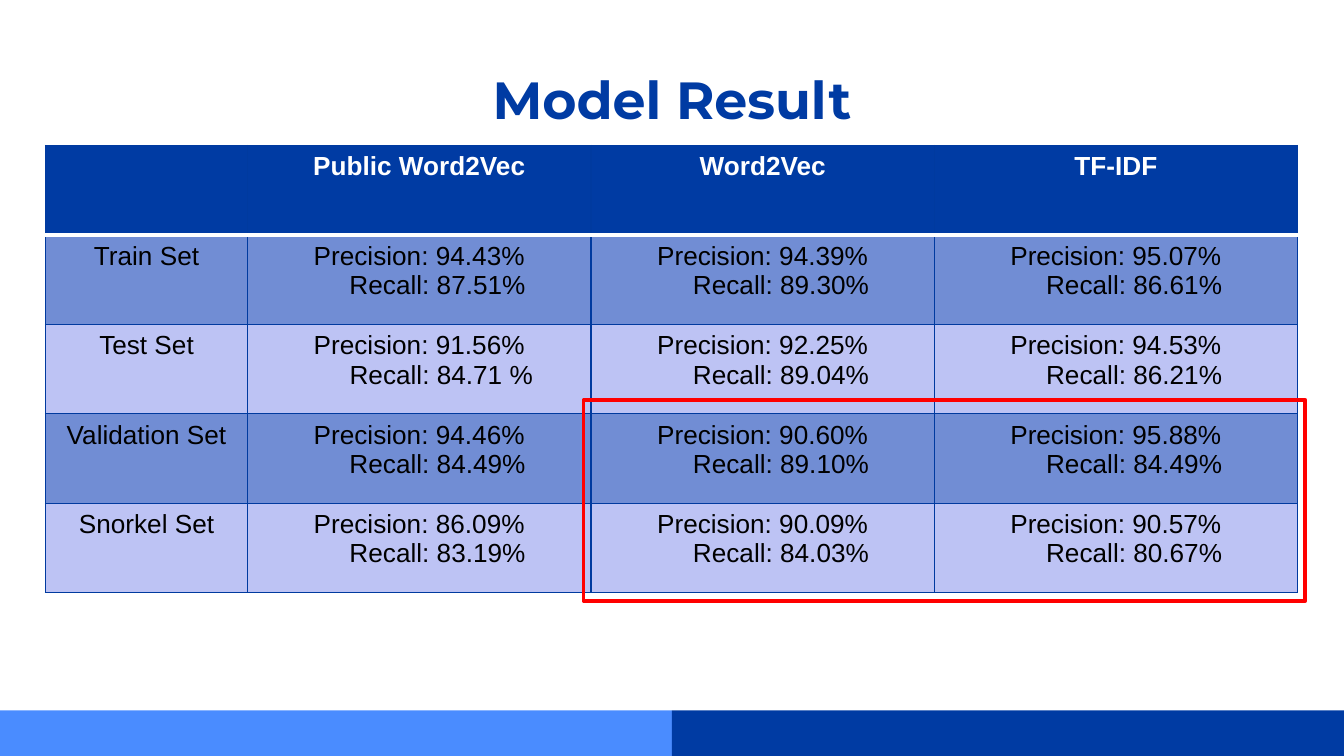
from lxml import etree
from pptx import Presentation
from pptx import util as u
from pptx.dml.color import RGBColor
from pptx.enum import shapes, text
from pptx.oxml import ns

Cm = u.Cm
COLORS = {
    "navy": "003BA3",
    "border": "003A9F",
    "blue": "4A8CFF",
    "dark_band": "718DD4",
    "light_band": "BDC3F4",
    "red": "FF0000",
    "white": "FFFFFF",
    "black": "000000",
}
PAGE_WIDTH, PAGE_HEIGHT = 25.4, 14.29
COLUMN_WIDTHS = [3.82, 6.49, 6.49, 6.86]
ROW_HEIGHT = 1.69
RECALL_INDENT = 0.69

HEADERS = ["", "Public Word2Vec", "Word2Vec", "TF-IDF"]
# Each result is a (precision, recall) pair
RESULTS = [
    ("Train Set", [("94.43%", "87.51%"), ("94.39%", "89.30%"), ("95.07%", "86.61%")]),
    ("Test Set", [("91.56%", "84.71 %"), ("92.25%", "89.04%"), ("94.53%", "86.21%")]),
    ("Validation Set", [("94.46%", "84.49%"), ("90.60%", "89.10%"), ("95.88%", "84.49%")]),
    ("Snorkel Set", [("86.09%", "83.19%"), ("90.09%", "84.03%"), ("90.57%", "80.67%")]),
]


def rgb(name):
    return RGBColor.from_string(COLORS[name])


def write(para, content, font="Arial", size=14, color="black", bold=False, indent=0):
    """Fill a centred paragraph with one formatted span."""
    para.alignment = text.PP_ALIGN.CENTER
    if indent:
        para._p.get_or_add_pPr().set("marL", str(Cm(indent)))
    span = para.add_run()
    span.text = content
    span.font.name = font
    span.font.size = u.Pt(size)
    span.font.bold = bold
    span.font.color.rgb = rgb(color)


def add_rectangle(page, left, top, width, height, fill=None, line=None):
    box = page.shapes.add_shape(
        shapes.MSO_SHAPE.RECTANGLE, Cm(left), Cm(top), Cm(width), Cm(height))
    box.shadow.inherit = False
    if fill:
        box.fill.solid()
        box.fill.fore_color.rgb = rgb(fill)
    else:
        box.fill.background()
    if line:
        box.line.color.rgb = rgb(line)
        box.line.width = u.Pt(2)
        etree.SubElement(box.line._get_or_add_ln(), ns.qn("a:round"))
    else:
        box.line.fill.background()


def add_title(page, content):
    box = page.shapes.add_textbox(Cm(2), Cm(1.02), Cm(21.4), Cm(1.6))
    frame = box.text_frame
    frame.word_wrap = True
    frame.vertical_anchor = text.MSO_ANCHOR.TOP
    frame.margin_left = frame.margin_right = Cm(0.25)
    frame.margin_top = frame.margin_bottom = Cm(0.25)
    write(frame.paragraphs[0], content, font="Montserrat", size=28, color="navy", bold=True)


def set_border(cell, side, color, width):
    line = etree.SubElement(cell._tc.get_or_add_tcPr(), ns.qn(f"a:ln{side}"),
                            w=str(u.Pt(width)))
    fill = etree.SubElement(line, ns.qn("a:solidFill"))
    etree.SubElement(fill, ns.qn("a:srgbClr"), val=COLORS[color])


def style_cell(cell, fill, top=("border", 0.75), bottom=("border", 0.75)):
    # Borders come before the fill in the cell properties
    for side, border in zip("LRTB", [("border", 0.75), ("border", 0.75), top, bottom]):
        set_border(cell, side, *border)
    cell.fill.solid()
    cell.fill.fore_color.rgb = rgb(fill)


def add_result_table(page):
    row_count = len(RESULTS) + 1
    table = page.shapes.add_table(
        row_count, len(HEADERS), Cm(0.86), Cm(2.75),
        Cm(sum(COLUMN_WIDTHS)), Cm(ROW_HEIGHT * row_count)).table
    for column, width in zip(table.columns, COLUMN_WIDTHS):
        column.width = Cm(width)
    for row in table.rows:
        row.height = Cm(ROW_HEIGHT)

    # Header row, set off by a white rule
    rule = ("white", 2)
    for column, header in enumerate(HEADERS):
        cell = table.cell(0, column)
        style_cell(cell, "navy", bottom=rule)
        if header:
            write(cell.text_frame.paragraphs[0], header, color="white", bold=True)

    # Result rows in alternating bands
    for row, (name, scores) in enumerate(RESULTS, start=1):
        band = "dark_band" if row % 2 else "light_band"
        for column in range(len(HEADERS)):
            cell = table.cell(row, column)
            if row == 1:
                style_cell(cell, band, top=rule)
            else:
                style_cell(cell, band)
            frame = cell.text_frame
            if column == 0:
                write(frame.paragraphs[0], name)
                continue
            precision, recall = scores[column - 1]
            write(frame.paragraphs[0], f"Precision: {precision}")
            # The one spaced percentage sits slightly further right
            indent = RECALL_INDENT + (0.14 if " " in recall else 0)
            write(frame.add_paragraph(), f"Recall: {recall}", indent=indent)


def main():
    deck = Presentation()
    deck.slide_width, deck.slide_height = Cm(PAGE_WIDTH), Cm(PAGE_HEIGHT)
    page = deck.slides.add_slide(deck.slide_layouts[6])

    # Footer bands
    half, band_top = PAGE_WIDTH / 2, 13.43
    for index, color in enumerate(["blue", "navy"]):
        add_rectangle(page, index * half, band_top, half, PAGE_HEIGHT - band_top, fill=color)

    # Title and results
    add_title(page, "Model Result")
    add_result_table(page)

    # Highlight around the compared scores
    add_rectangle(page, 11.03, 7.56, 13.64, 3.8, line="red")

    deck.save("out.pptx")


if __name__ == "__main__":
    main()
